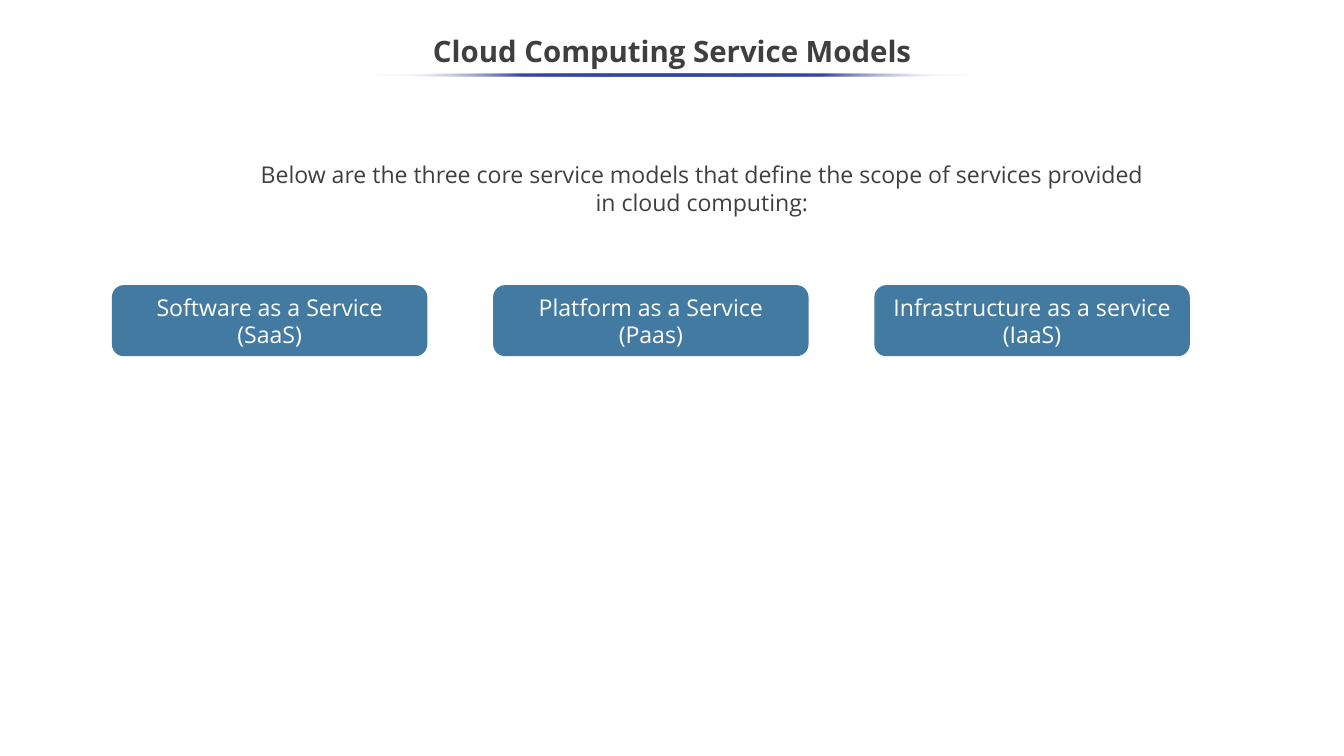
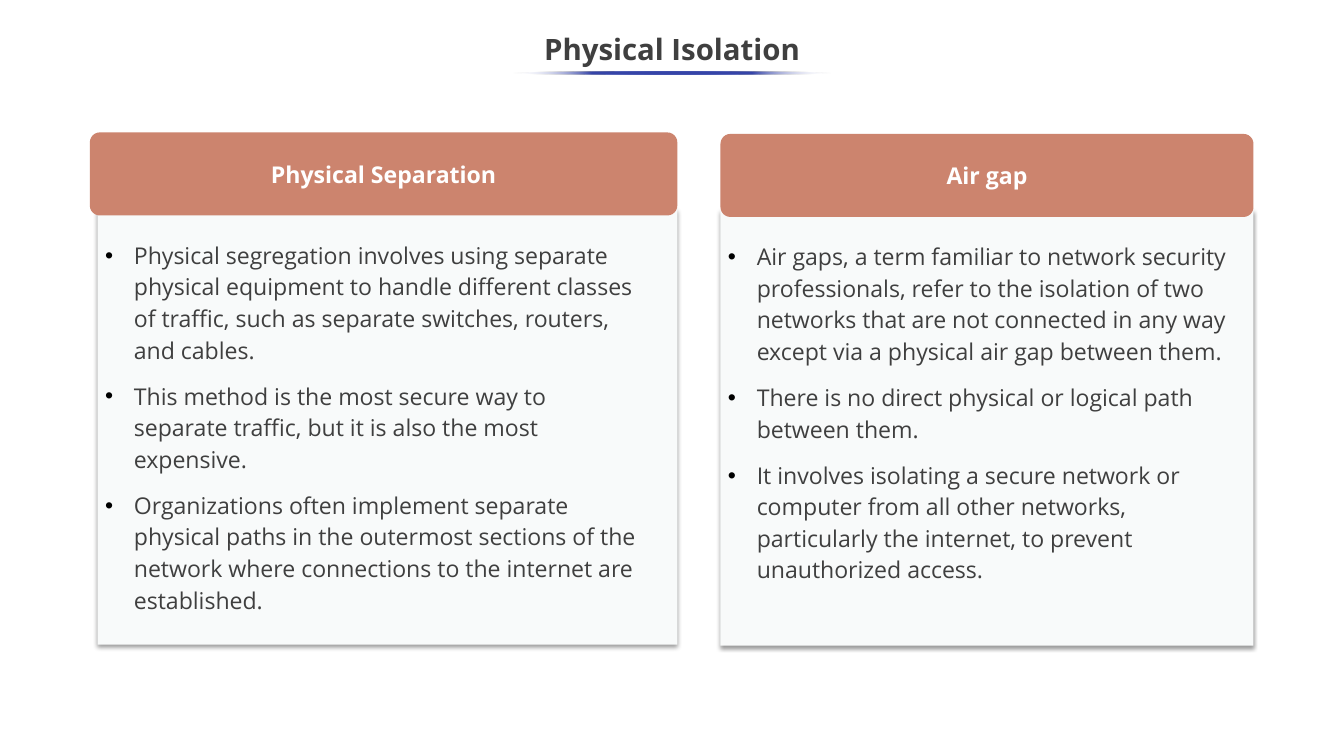
from dataclasses import dataclass

from lxml.etree import SubElement as Sub
from pptx import Presentation as Deck
from pptx.dml.color import RGBColor as Rgb
from pptx.enum.shapes import MSO_SHAPE as Form
from pptx.enum.text import MSO_ANCHOR as Anchor, MSO_AUTO_SIZE as Fit, PP_ALIGN as Align
from pptx.oxml.ns import qn
from pptx.util import Cm, Pt


@dataclass(frozen=True)
class Theme:
    """Hold the colours, type sizes and shared lengths of the deck."""
    font: str = "Open Sans"
    ink: str = "3F3F3F"
    white: str = "FFFFFF"
    black: str = "000000"
    rule: str = "3645A9"
    chip: str = "427AA1"
    head: str = "CC846E"
    card: str = "F8FAFA"
    title: int = 28
    body: int = 22
    gap: float = 13.8
    lead: float = 1.14
    wide: float = 45.16
    high: float = 25.4


T = Theme()


def cms(*nums):
    """Turn plain numbers into centimetre lengths."""
    return [Cm(n) for n in nums]


def node(host, tag, **attrs):
    """Append a drawing element to its host."""
    return Sub(host, qn("a:" + tag), {k: str(v) for k, v in attrs.items()})


def tint(host, hue, alpha=None):
    """Append a colour, with opacity in percent where given."""
    clr = node(host, "srgbClr", val=hue)
    if alpha is not None:
        node(clr, "alpha", val=alpha * 1000)


def write(para, text, hue, size=T.body, bold=False):
    """Add one styled run to a paragraph."""
    run = para.add_run()
    run.text = text
    font = run.font
    font.name, font.size, font.bold = T.font, Pt(size), bold
    font.color.rgb = Rgb.from_string(hue)


def paras(frame, count):
    """Yield the wanted number of paragraphs of a frame."""
    yield frame.paragraphs[0]
    for _ in range(count - 1):
        yield frame.add_paragraph()


def center(frame, lines, hue, bold=False):
    """Write centred lines into a frame."""
    frame.word_wrap = True
    for para, line in zip(paras(frame, len(lines)), lines):
        para.alignment = Align.CENTER
        write(para, line, hue, bold=bold)


def block(slide, form, box, hue, curve=None):
    """Draw a flat filled shape in its box."""
    shape = slide.shapes.add_shape(form, *cms(*box))
    shape.shadow.inherit = False
    shape.fill.solid()
    shape.fill.fore_color.rgb = Rgb.from_string(hue)
    shape.line.fill.background()
    if curve is not None:
        shape.adjustments[0] = curve
    return shape


def label(slide, box, lines, hue, curve, bold=False):
    """Draw a rounded block with centred white text."""
    frame = block(slide, Form.ROUNDED_RECTANGLE, box, hue, curve).text_frame
    frame.vertical_anchor = Anchor.MIDDLE
    center(frame, lines, T.white, bold)


def shade(shape):
    """Give a shape a soft shadow below it."""
    fx = shape.element.spPr.find(qn("a:effectLst"))
    drop = node(fx, "outerShdw", blurRad=Pt(4), dist=Pt(3), dir=5400000,
                algn="t", rotWithShape=0)
    tint(drop, T.black, 40)


def streak(slide, box):
    """Draw a rule that fades out at both ends."""
    shape = block(slide, Form.OVAL, box, T.rule)
    props = shape.element.spPr
    old = props.find(qn("a:solidFill"))
    grad = node(props, "gradFill", rotWithShape=1)
    stops = node(grad, "gsLst")
    for pos in range(0, 101, 25):
        end = pos in (0, 100)
        tint(node(stops, "gs", pos=pos * 1000),
             T.white if end else T.rule, 0 if end else None)
    node(grad, "lin", ang=10800000, scaled=0)
    props.replace(old, grad)


def start(deck, text, top, span):
    """Add a slide with its title and the rule under it."""
    slide = deck.slides.add_slide(deck.slide_layouts[5])
    title = slide.shapes.title
    title.left, title.top, title.width, title.height = cms(0, top, T.wide, 1.9)
    frame = title.text_frame
    frame.auto_size, frame.word_wrap = Fit.NONE, True
    frame.vertical_anchor = Anchor.MIDDLE
    para = frame.paragraphs[0]
    para.alignment, para.line_spacing = Align.CENTER, 0.9
    write(para, text, T.ink, T.title, True)
    streak(slide, ((T.wide - span) / 2, top + 1.63, span, 0.1))
    return slide


def points(frame, items):
    """Write a bulleted list into a frame."""
    frame.word_wrap = True
    frame.vertical_anchor = Anchor.TOP
    for num, (para, item) in enumerate(zip(paras(frame, len(items)), items)):
        para.alignment, para.line_spacing = Align.LEFT, T.lead
        if num:
            para.space_before = Pt(T.gap)
        props = para._p.get_or_add_pPr()
        props.set("marL", str(Cm(0.97)))
        props.set("indent", str(-Cm(0.97)))
        tint(node(props, "buClr"), T.black)
        node(props, "buFont", typeface="Arial")
        node(props, "buChar", char="•")
        write(para, item, T.ink)


def panel(slide, box, name, items, inset=0, trim=0):
    """Draw a card with a header band and a bulleted list."""
    left, top, wide, high = box
    card = (left + inset, top + 2.55, wide - inset, high - 2.55)
    shade(block(slide, Form.RECTANGLE, card, T.card))
    label(slide, (left, top, wide, 2.79), [name], T.head, 0.12, True)
    area = (card[0], top + 3.4, card[2] - trim, high - 4)
    points(slide.shapes.add_textbox(*cms(*area)).text_frame, items)


def models(deck):
    """Build the slide on service models."""
    slide = start(deck, "Cloud Computing Service Models", 0.84, 20.1)
    intro = slide.shapes.add_textbox(*cms(8.36, 5.26, 30.45, 2.13))
    center(intro.text_frame, [
        "Below are the three core service models that define the scope of "
        "services provided in cloud computing:"], T.ink)
    kinds = (("Software as a Service", "(SaaS)"),
             ("Platform as a Service", "(Paas)"),
             ("Infrastructure as a service", "(IaaS)"))
    for num, lines in enumerate(kinds):
        label(slide, (3.76 + num * 12.81, 9.58, 10.6, 2.39), lines, T.chip, 0.17)


def split(deck):
    """Build the slide on physical isolation."""
    slide = start(deck, "Physical Isolation", 0.76, 10.74)
    panel(slide, (3.02, 4.45, 19.74, 17.21), "Physical Separation", (
        "Physical segregation involves using separate physical equipment to "
        "handle different classes of traffic, such as separate switches, "
        "routers, and cables.",
        "This method is the most secure way to separate traffic, but it is "
        "also the most expensive.",
        "Organizations often implement separate physical paths in the "
        "outermost sections of the network where connections to the internet "
        "are established."), 0.26, 0.86)
    panel(slide, (24.21, 4.5, 17.91, 17.19), "Air gap", (
        "Air gaps, a term familiar to network security professionals, refer "
        "to the isolation of two networks that are not connected in any way "
        "except via a physical air gap between them.",
        "There is no direct physical or logical path between them.",
        "It involves isolating a secure network or computer from all other "
        "networks, particularly the internet, to prevent unauthorized access."))


def main():
    """Build and save the deck."""
    deck = Deck()
    deck.slide_width, deck.slide_height = cms(T.wide, T.high)
    models(deck)
    split(deck)
    deck.save("out.pptx")


if __name__ == "__main__":
    main()
